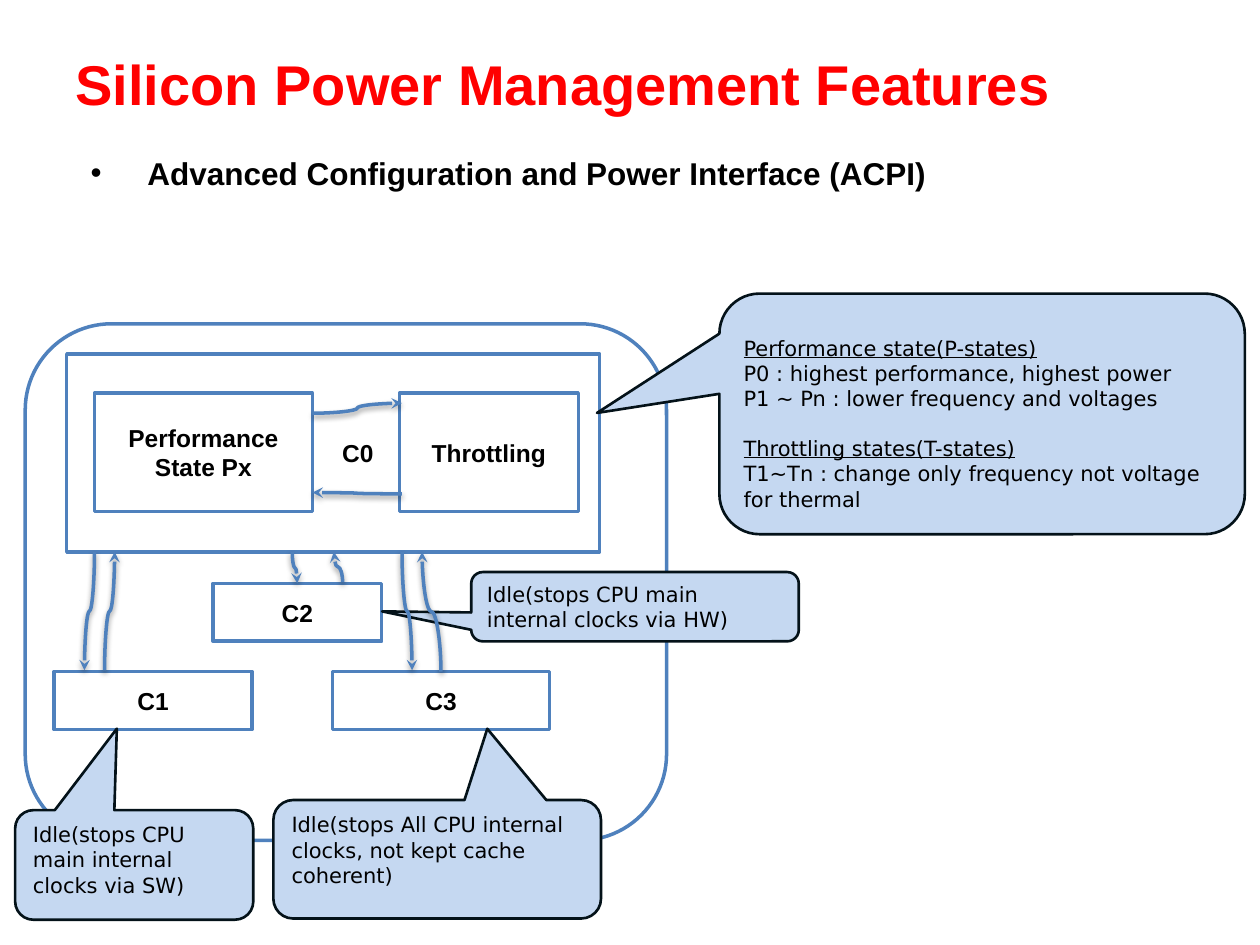
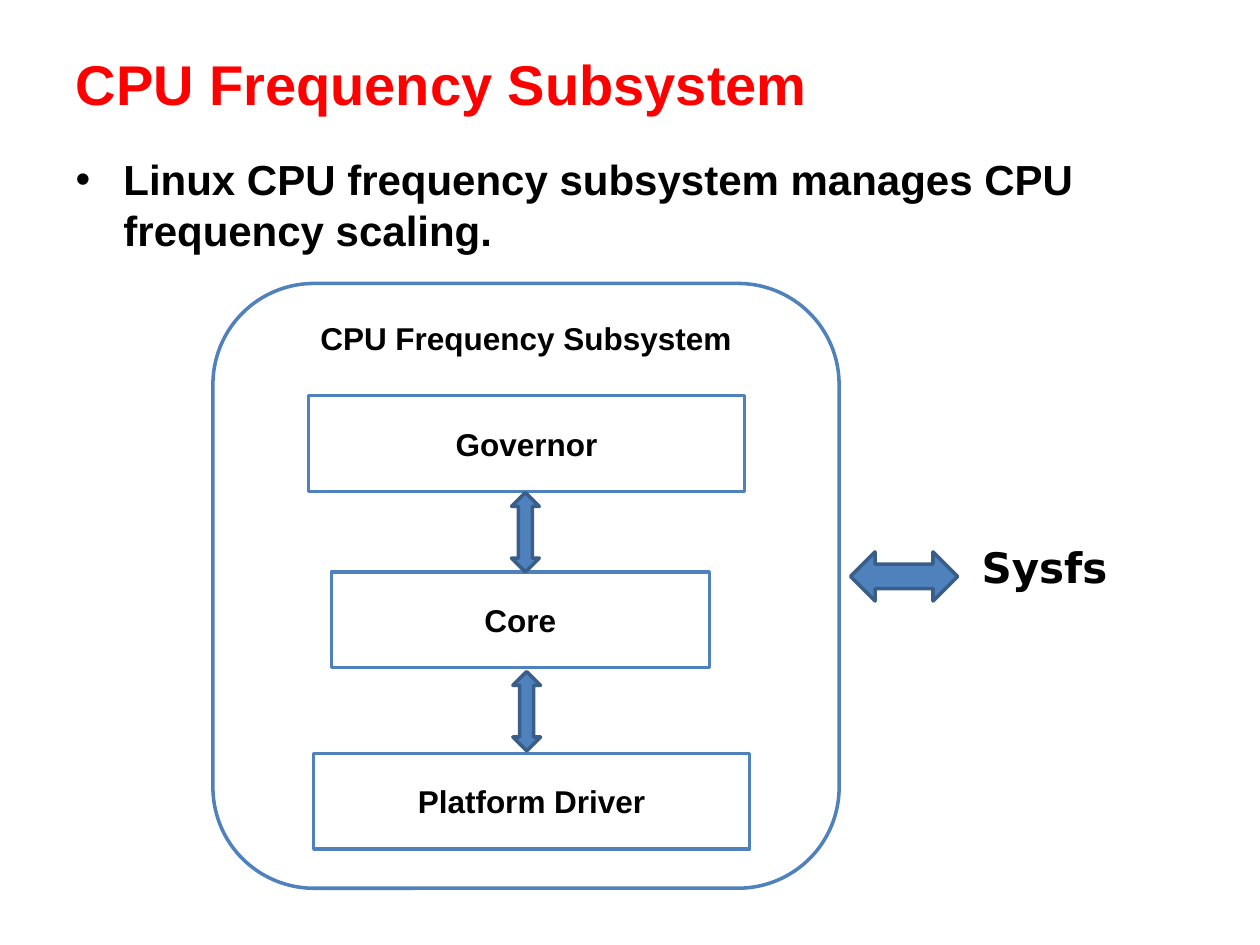
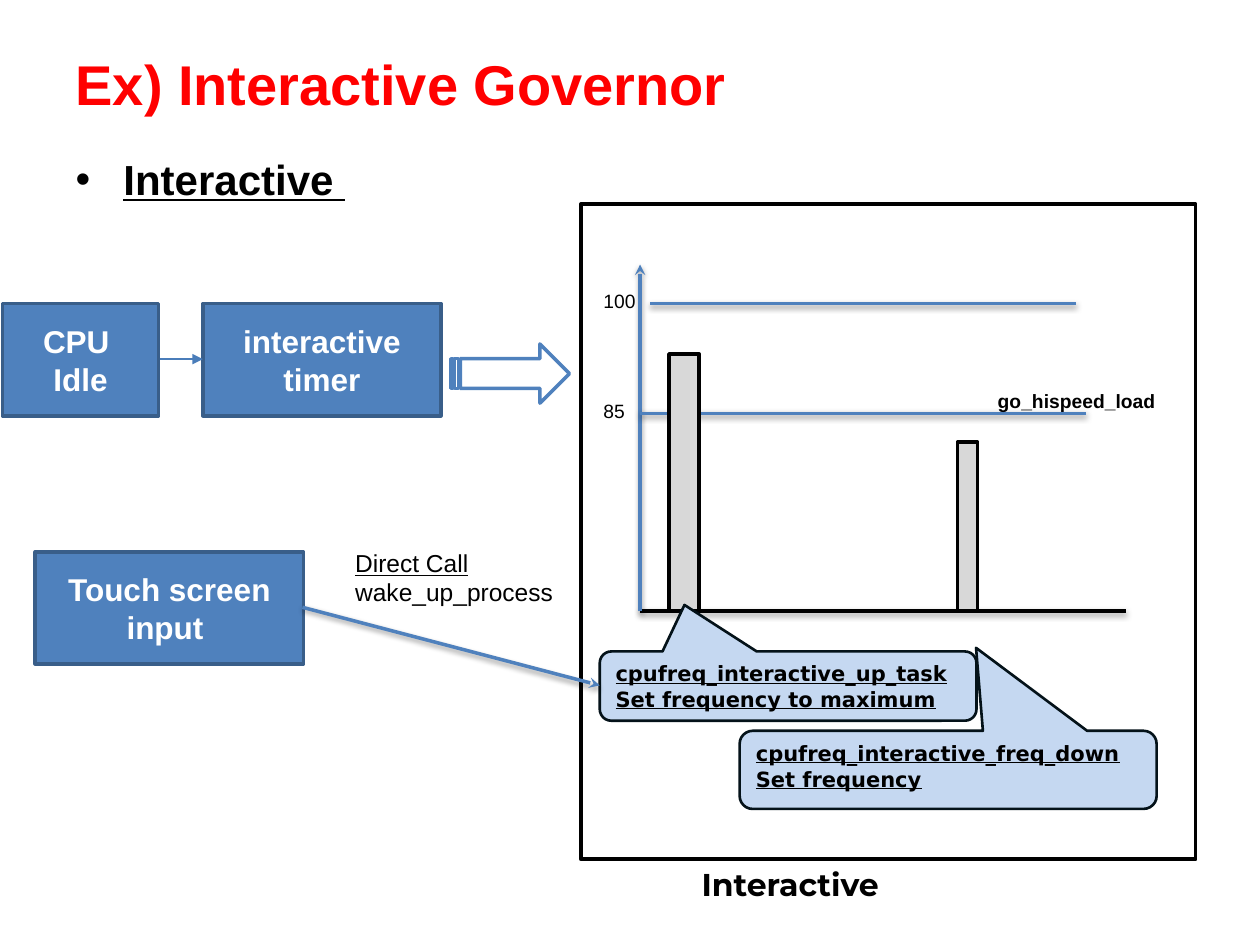
from lxml import etree
from pptx import Presentation
from pptx.dml.color import RGBColor
from pptx.enum.shapes import MSO_CONNECTOR, MSO_SHAPE
from pptx.enum.text import MSO_ANCHOR, MSO_AUTO_SIZE, PP_ALIGN
from pptx.oxml.ns import qn
from pptx.util import Inches, Pt

RECT, ROUND = MSO_SHAPE.RECTANGLE, MSO_SHAPE.ROUNDED_RECTANGLE
CALLOUT = MSO_SHAPE.ROUNDED_RECTANGULAR_CALLOUT
UP_DOWN, LEFT_RIGHT = MSO_SHAPE.UP_DOWN_ARROW, MSO_SHAPE.LEFT_RIGHT_ARROW
STRIPED = MSO_SHAPE.STRIPED_RIGHT_ARROW
STRAIGHT, CURVE = MSO_CONNECTOR.STRAIGHT, MSO_CONNECTOR.CURVE
LEFT, CENTER = PP_ALIGN.LEFT, PP_ALIGN.CENTER
TOP, MIDDLE = MSO_ANCHOR.TOP, MSO_ANCHOR.MIDDLE

COLORS = {
    "title": "FF0000", "text": "000000", "white": "FFFFFF", "blue": "4F81BD",
    "edge": "395E89", "link": "4A7DBA", "note": "C5D8F1", "note_edge": "041219",
    "bar": "D8D8D8",
}
NOTE_FONT = "DejaVu Sans"


def rgb(name):
    return RGBColor.from_string(COLORS[name])


def box(x, y, w, h):
    return Inches(x), Inches(y), Inches(w), Inches(h)


def child(parent, tag, **attrs):
    """Append a DrawingML element."""
    el = etree.SubElement(parent, qn(tag))
    for key, value in attrs.items():
        el.set(key, str(value))
    return el


class Deck:
    base = {"name": "Arial", "size": 18, "bold": True, "color": "text"}

    def __init__(self):
        self.prs = Presentation()
        self.prs.slide_width, self.prs.slide_height = Inches(10), Inches(7.5)
        self.s = None

    def put_text(self, sp, lines, align=LEFT, anchor=TOP, **fmt):
        """Fill a shape with lines, each a string or (string, format changes)."""
        tf = sp.text_frame
        frame = {"word_wrap": True, "auto_size": MSO_AUTO_SIZE.NONE,
                 "vertical_anchor": anchor,
                 "margin_left": Inches(0.1), "margin_right": Inches(0.1),
                 "margin_top": Inches(0.05), "margin_bottom": Inches(0.05)}
        for key, value in frame.items():
            setattr(tf, key, value)
        for i, line in enumerate([lines] if isinstance(lines, str) else lines):
            text, change = (line, {}) if isinstance(line, str) else line
            p = tf.paragraphs[0] if i == 0 else tf.add_paragraph()
            p.alignment, p.space_before = align, Pt(0)
            r = p.add_run()
            r.text = text
            style = {**self.base, **fmt, **change}
            r.font.color.rgb = rgb(style.pop("color"))
            style["size"] = Pt(style["size"])
            for key, value in style.items():
                setattr(r.font, key, value)
        return tf

    def slide(self, title, bullet, margin=0.38, hang=0.38, **fmt):
        """Start a slide with its title and single bullet."""
        self.s = self.prs.slides.add_slide(self.prs.slide_layouts[1])
        head, body = self.s.placeholders
        head.left, head.top, head.width, head.height = box(0.5, 0.3, 9, 0.72)
        self.put_text(head, title, anchor=MIDDLE, size=32, color="title")
        body.left, body.top, body.width, body.height = box(0.5, 1.17, 9, 5.53)
        tf = self.put_text(body, bullet, **{"size": 24, **fmt})
        pPr = tf.paragraphs[0]._p.get_or_add_pPr()
        pPr.set("marL", str(Inches(margin)))
        pPr.set("indent", str(-Inches(hang)))
        child(child(pPr, "a:buClr"), "a:srgbClr", val=COLORS["text"])
        child(pPr, "a:buFont", typeface="Arial")
        child(pPr, "a:buChar", char="•")

    def shape(self, kind, at, lines=(), fill="white", line="blue", width=2,
              adj=(), align=CENTER, anchor=MIDDLE, **fmt):
        sp = self.s.shapes.add_shape(kind, *box(*at))
        sp.shadow.inherit = False
        if fill:
            sp.fill.solid()
            sp.fill.fore_color.rgb = rgb(fill)
        else:
            sp.fill.background()
        sp.line.color.rgb, sp.line.width = rgb(line), Pt(width)
        for i, value in enumerate(adj):
            sp.adjustments[i] = value
        if lines:
            self.put_text(sp, lines, align, anchor, **fmt)
        return sp

    def solid(self, at, lines=(), kind=RECT):
        """Blue shape with white text."""
        self.shape(kind, at, lines, fill="blue", line="edge", color="white")

    def callout(self, at, tip, lines, **fmt):
        style = {"name": NOTE_FONT, "size": 12, "bold": False, **fmt}
        return self.shape(CALLOUT, at, lines, "note", "note_edge", 1.5,
                          (*tip, 0.167), LEFT, TOP, **style)

    def label(self, at, lines, align=LEFT, anchor=TOP, **fmt):
        sp = self.s.shapes.add_textbox(*box(*at))
        self.put_text(sp, lines, align, anchor, **fmt)

    def line(self, x1, y1, x2, y2, color="blue", width=2, head=None,
             kind=STRAIGHT, shadow=True):
        ends = [Inches(v) for v in (x1, y1, x2, y2)]
        cn = self.s.shapes.add_connector(kind, *ends)
        cn.line.color.rgb, cn.line.width = rgb(color), Pt(width)
        spPr = cn._element.spPr
        if head:
            child(spPr.find(qn("a:ln")), "a:tailEnd", type=head)
        effects = child(spPr, "a:effectLst")
        if shadow:
            outer = child(effects, "a:outerShdw", blurRad=40000, dist=20000,
                          dir=5400000, rotWithShape=0)
            child(child(outer, "a:srgbClr", val=COLORS["text"]), "a:alpha", val=38000)
        return cn

    def curve(self, x1, y1, x2, y2):
        return self.line(x1, y1, x2, y2, head="stealth", kind=CURVE)

    def upright_curve(self, x1, y1, x2, y2):
        """Curve that leaves and arrives vertically: a level one, turned."""
        cx, cy = (x1 + x2) / 2, (y1 + y2) / 2
        side = 1 if x2 > x1 else -1
        reach, half = side * (y2 - y1) / 2, abs(x2 - x1) / 2
        cn = self.curve(cx + reach, cy - half, cx - reach, cy + half)
        turn = 270 if side > 0 else 90
        cn._element.spPr.find(qn("a:xfrm")).set("rot", str(turn * 60000))


def power_states(d):
    d.slide("Silicon Power Management Features",
            "Advanced Configuration and Power Interface (ACPI)",
            margin=0.57, hang=0.45, size=18)
    # CPU states
    d.shape(ROUND, (0.2, 2.57, 5.09, 4.1), adj=[0.167])
    for name, at in (("C1", (0.43, 5.33, 1.57, 0.46)),
                     ("C3", (2.64, 5.33, 1.72, 0.46)),
                     ("C2", (1.69, 4.63, 1.34, 0.46))):
        d.shape(RECT, at, name, size=14)
    d.shape(RECT, (0.53, 2.81, 4.23, 1.57), fill=None)
    d.shape(RECT, (3.17, 3.12, 1.42, 0.94), "Throttling", size=14)
    d.shape(RECT, (0.75, 3.12, 1.73, 0.94), "Performance State Px", size=14)
    d.label((2.17, 3.36, 1.34, 0.46), "C0", CENTER, MIDDLE, size=14)
    # Explanations
    sp = d.callout((5.71, 2.33, 4.17, 1.91), (-0.733, -0.004), [
        ("Performance state(P-states)", {"underline": True}),
        "P0 : highest performance, highest power",
        "P1 ~ Pn : lower frequency and voltages",
        ("Throttling states(T-states)", {"underline": True}),
        "T1~Tn : change only frequency not voltage for thermal"])
    sp.text_frame.margin_top = Inches(0.24)
    sp.text_frame.paragraphs[3].space_before = Pt(14)
    d.callout((0.12, 6.43, 1.89, 0.87), (-0.073, -1.243),
              "Idle(stops CPU main internal clocks via SW)")
    d.callout((3.74, 4.54, 2.6, 0.55), (-0.772, 0.068),
              "Idle(stops CPU main internal clocks via HW)")
    # Transitions
    d.curve(2.48, 3.28, 3.19, 3.2)
    d.curve(3.19, 3.92, 2.48, 3.91)
    for ends in ((0.75, 4.38, 0.67, 5.32), (0.83, 5.32, 0.91, 4.38),
                 (2.32, 4.38, 2.36, 4.63), (2.72, 4.62, 2.65, 4.38),
                 (3.19, 4.38, 3.27, 5.32), (3.5, 5.33, 3.35, 4.38)):
        d.upright_curve(*ends)
    d.callout((2.17, 6.35, 2.6, 0.94), (0.153, -1.102),
              "Idle(stops All CPU internal clocks, not kept cache coherent)")


def frequency_subsystem(d):
    d.slide("CPU Frequency Subsystem",
            "Linux CPU frequency subsystem manages CPU frequency scaling.")
    # Layers
    d.shape(ROUND, (1.69, 2.25, 4.97, 4.8), "CPU Frequency Subsystem",
            adj=[0.167], anchor=TOP)
    for name, x, y, w in (("Governor", 2.45, 3.14, 3.46),
                          ("Platform Driver", 2.49, 5.98, 3.46),
                          ("Core", 2.63, 4.54, 3)):
        d.shape(RECT, (x, y, w, 0.76), name)
    # Links
    d.solid((4.06, 3.91, 0.22, 0.63), kind=UP_DOWN)
    d.solid((4.07, 5.33, 0.22, 0.63), kind=UP_DOWN)
    d.solid((6.75, 4.38, 0.85, 0.39), kind=LEFT_RIGHT)
    d.label((7.64, 4.25, 1.3, 0.64), "Sysfs", CENTER, name=NOTE_FONT, size=24)


def interactive_governor(d):
    d.slide("Ex) Interactive Governor", "Interactive ", underline=True)
    # Load diagram
    axis_x, base_y = 5.08, 4.85
    d.shape(RECT, (4.61, 1.62, 4.88, 5.2), fill=None, line="text")
    d.line(axis_x, base_y, 8.94, base_y, color="text")
    d.line(axis_x, base_y, axis_x, 2.1, head="stealth")
    d.line(5.16, 2.41, 8.54, 2.41)
    d.line(axis_x, 3.28, 8.62, 3.28)
    for mark, y in (("100", 2.25), ("85", 3.12)):
        d.label((4.69, y, 1.42, 0.29), mark, size=11, bold=False)
    for x, y, w in ((5.31, 2.81, 0.24), (7.6, 3.51, 0.16)):
        d.shape(RECT, (x, y, w, base_y - y), fill="bar", line="text")
    d.label((7.82, 3.04, 1.82, 0.29), "go_hispeed_load", size=11)
    # Tasks
    task = {"bold": True, "underline": True}
    d.callout((4.76, 5.17, 2.99, 0.55), (-0.275, -1.171),
              ["cpufreq_interactive_up_task", "Set frequency to maximum"], **task)
    d.callout((5.87, 5.8, 3.31, 0.62), (0.067, -1.562),
              ["cpufreq_interactive_freq_down", "Set frequency"], **task)
    d.label((5.47, 6.82, 2.36, 0.4), "Interactive", name="Montserrat")
    # Triggers
    d.solid((1.61, 2.41, 1.89, 0.89), ["interactive", "timer"])
    d.solid((0.28, 4.38, 2.13, 0.89), "Touch screen input ")
    d.line(1.26, 2.85, 1.61, 2.85, "link", 1.5, "triangle", shadow=False)
    d.solid((0.02, 2.41, 1.24, 0.89), ["CPU ", "Idle"])
    d.shape(STRIPED, (3.58, 2.73, 0.94, 0.47), fill=None)
    d.label((2.72, 4.3, 1.81, 0.57),
            [("Direct Call", {"underline": True}), "wake_up_process"],
            size=14, bold=False)
    d.line(2.4, 4.82, 4.76, 5.44, head="stealth")


def main():
    d = Deck()
    power_states(d)
    frequency_subsystem(d)
    interactive_governor(d)
    d.prs.save("out.pptx")


if __name__ == "__main__":
    main()
